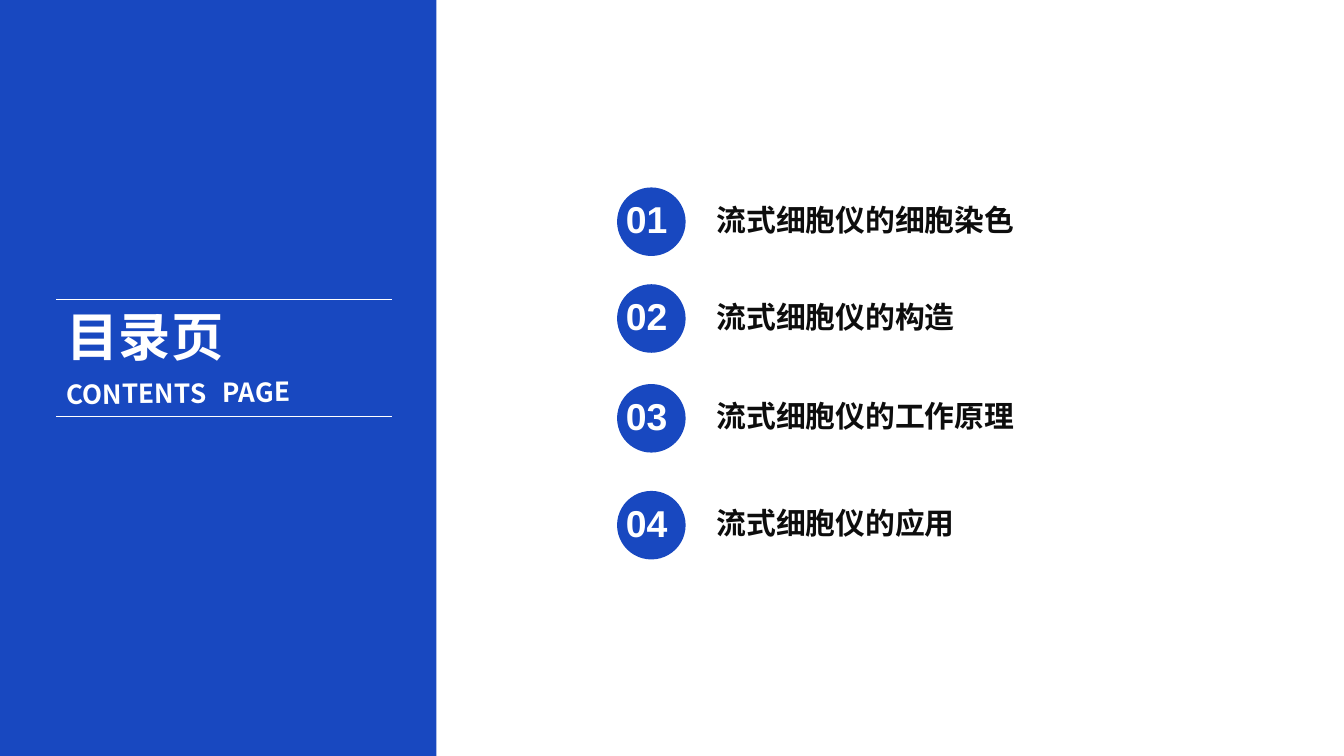
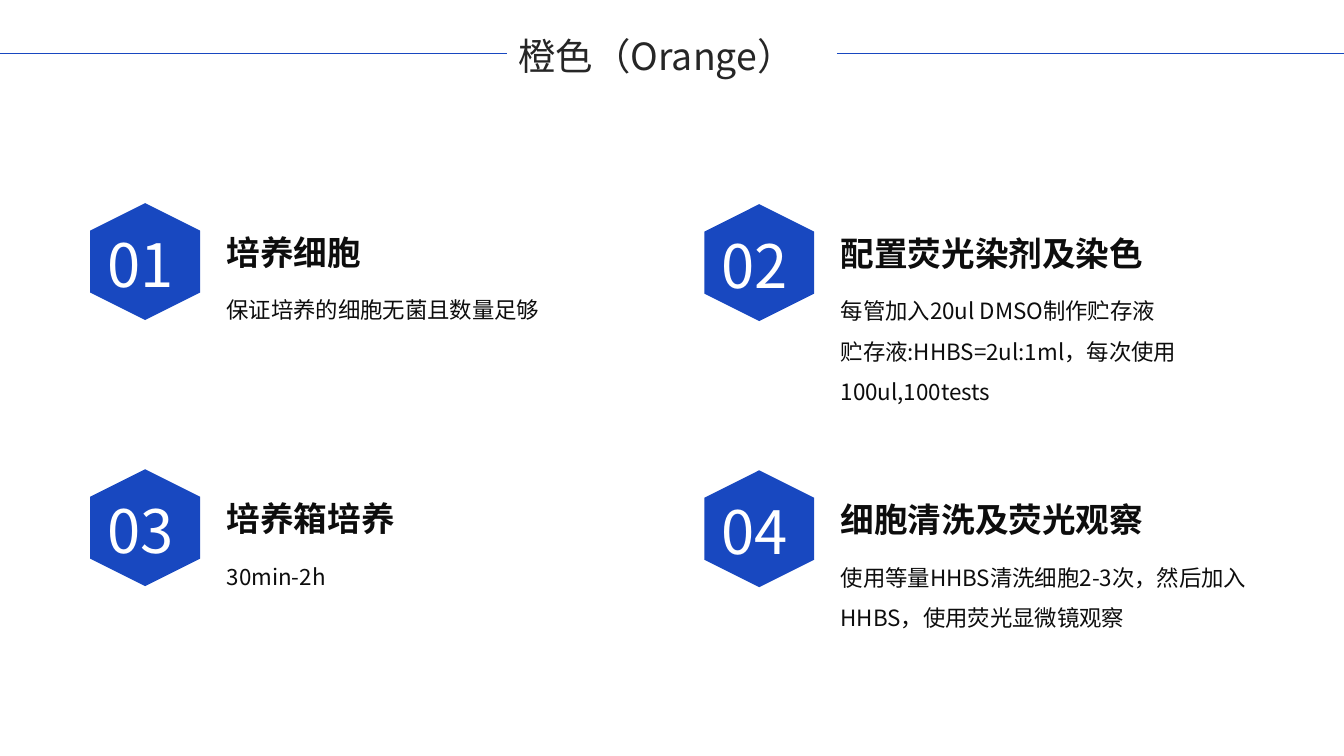
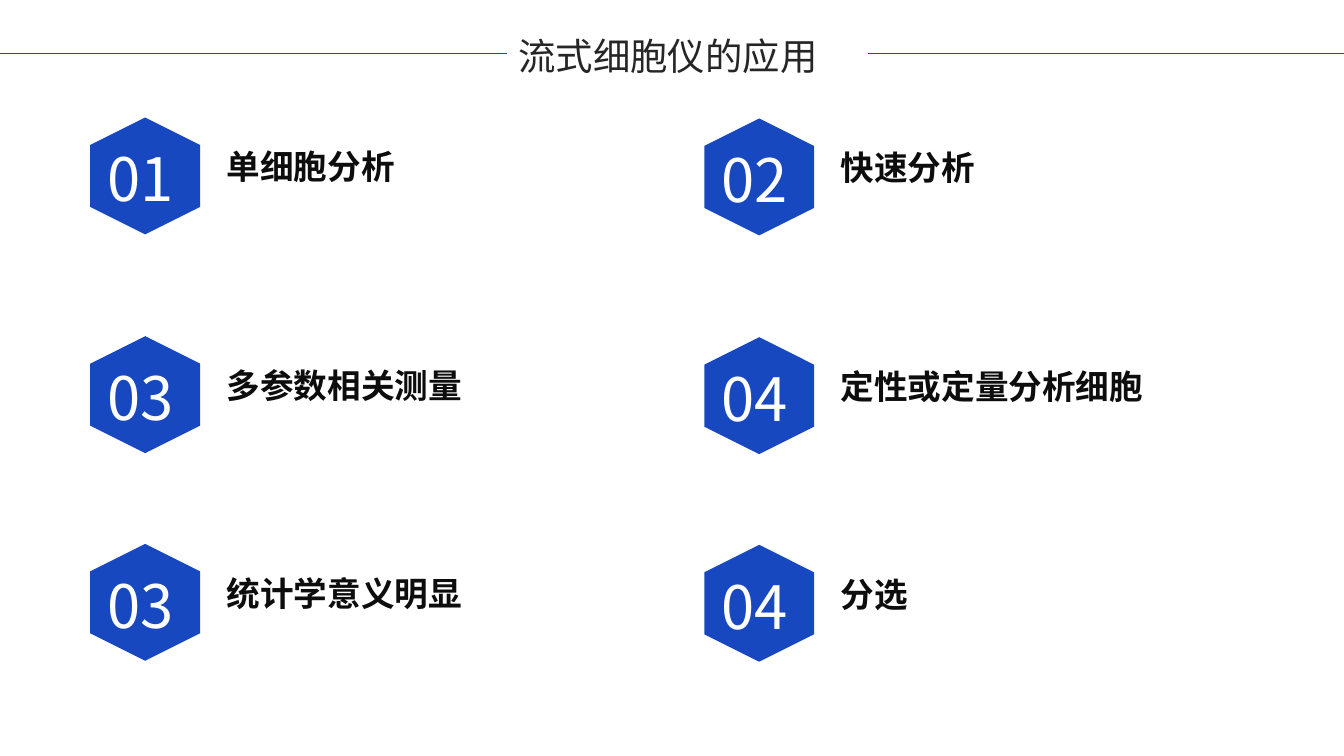
from lxml.etree import SubElement
from pptx import Presentation
from pptx.dml.color import RGBColor
from pptx.enum.shapes import MSO_CONNECTOR, MSO_SHAPE
from pptx.enum.text import MSO_ANCHOR, MSO_AUTO_SIZE, PP_ALIGN
from pptx.oxml.ns import qn
from pptx.util import Inches, Pt

BLUE = RGBColor(0x18, 0x48, 0xC0)
WHITE = RGBColor(0xFF, 0xFF, 0xFF)
INK = RGBColor(0x0D, 0x0D, 0x0D)
TITLE_INK = RGBColor(0x26, 0x26, 0x26)
SANS = "Noto Sans CJK SC"
WIDTH, HEIGHT = 13.33, 7.5
TITLE_ONLY = 5

CONTENTS = [
    (1.86, "01", "流式细胞仪的细胞染色"),
    (2.82, "02", "流式细胞仪的构造"),
    (3.81, "03", "流式细胞仪的工作原理"),
    (4.87, "04", "流式细胞仪的应用"),
]

COLUMN_LEFTS = (0.86, 6.95)
COLUMN_DROP = 0.01
TOPIC_SLIDES = [
    {
        "title": "橙色（Orange）",
        "title_width": 3.03,
        "right_rule": 8.3,
        "row_tops": (2.05, 4.69),
        "items": [
            ("01", "培养细胞", ["保证培养的细胞无菌且数量足够"]),
            ("02", "配置荧光染剂及染色", [
                "每管加入20ul DMSO制作贮存液",
                "贮存液:HHBS=2ul:1ml，每次使用100ul,100tests",
            ]),
            ("03", "培养箱培养", ["30min-2h"]),
            ("04", "细胞清洗及荧光观察", [
                "使用等量HHBS清洗细胞2-3次，然后加入HHBS，使用荧光显微镜观察",
            ]),
        ],
    },
    {
        "title": "流式细胞仪的应用",
        "title_width": 3.19,
        "right_rule": 8.61,
        "row_tops": (1.2, 3.37, 5.43),
        "items": [
            ("01", "单细胞分析", []),
            ("02", "快速分析", []),
            ("03", "多参数相关测量", []),
            ("04", "定性或定量分析细胞", []),
            ("03", "统计学意义明显", []),
            ("04", "分选", []),
        ],
    },
]


def write(shape, lines, size, color, bold=False, font=SANS, wrap=True,
          spacing=None, tab=None):
    frame = shape.text_frame
    frame.text = "\n".join(lines)
    frame.word_wrap = wrap
    frame.auto_size = MSO_AUTO_SIZE.NONE if wrap else MSO_AUTO_SIZE.SHAPE_TO_FIT_TEXT
    frame.vertical_anchor = MSO_ANCHOR.TOP
    for paragraph in frame.paragraphs:
        paragraph.alignment = PP_ALIGN.LEFT
        if spacing:
            paragraph.line_spacing = spacing
        if tab:
            tabs = SubElement(paragraph._p.get_or_add_pPr(), qn("a:tabLst"))
            SubElement(tabs, qn("a:tab"), pos=str(Inches(tab)), algn="l")
        for run in paragraph.runs:
            run.font.size = Pt(size)
            run.font.bold = bold
            run.font.color.rgb = color
            run.font.name = font
            SubElement(run._r.get_or_add_rPr(), qn("a:ea"), typeface=font)


def add_text(slide, left, top, width, height, lines, size, color, **style):
    box = slide.shapes.add_textbox(
        Inches(left), Inches(top), Inches(width), Inches(height))
    write(box, lines, size, color, **style)
    return box


def add_title(slide, left, top, width, height, text, size, color, **style):
    title = slide.shapes.title
    title.left, title.top = Inches(left), Inches(top)
    title.width, title.height = Inches(width), Inches(height)
    write(title, [text], size, color, **style)
    return title


def add_blue_shape(slide, preset, left, top, width, height, rotation=0):
    shape = slide.shapes.add_shape(
        preset, Inches(left), Inches(top), Inches(width), Inches(height))
    shape.shadow.inherit = False
    shape.fill.solid()
    shape.fill.fore_color.rgb = BLUE
    shape.line.fill.background()
    shape.rotation = rotation
    return shape


def add_rule(slide, start, end, top, color):
    rule = slide.shapes.add_connector(
        MSO_CONNECTOR.STRAIGHT, Inches(start), Inches(top), Inches(end), Inches(top))
    rule.line.color.rgb = color
    rule.line.width = Pt(0.5)
    SubElement(rule._element.spPr, qn("a:effectLst"))


def build_contents(presentation):
    slide = presentation.slides.add_slide(presentation.slide_layouts[TITLE_ONLY])
    panel = add_blue_shape(slide, MSO_SHAPE.RECTANGLE, 0, 0, 4.33, HEIGHT)
    title = add_title(slide, 0.56, 2.97, 1.77, 0.73, "目录页", 37.3, WHITE,
                      bold=True, wrap=False)
    title.element.addprevious(panel.element)
    for top in (2.97, 4.13):
        add_rule(slide, 0.56, 3.89, top, WHITE)
    subtitle = add_text(slide, 0.56, 3.62, 3.27, 0.54, ["CONTENTS\tPAGE"],
                        18.7, WHITE, bold=True, tab=1.55)
    subtitle.text_frame.vertical_anchor = MSO_ANCHOR.MIDDLE
    subtitle.rotation = 359.3
    for top, number, topic in CONTENTS:
        add_blue_shape(slide, MSO_SHAPE.OVAL, 6.12, top, 0.68, 0.68)
        add_text(slide, 6.11, top + 0.04, 0.62, 0.55, [number], 26.7, WHITE,
                 bold=True, font="Arial", wrap=False)
        add_text(slide, 7.01, top + 0.09, 5.31, 0.46, [topic], 21.3, INK, bold=True)


def build_topic(presentation, content):
    slide = presentation.slides.add_slide(presentation.slide_layouts[TITLE_ONLY])
    add_title(slide, 5.04, 0.28, content["title_width"], 0.55,
              content["title"], 26.7, TITLE_INK)
    add_rule(slide, 0, 5.03, 0.53, BLUE)
    add_rule(slide, content["right_rule"], WIDTH, 0.53, BLUE)
    for index, (number, heading, body) in enumerate(content["items"]):
        row, column = divmod(index, len(COLUMN_LEFTS))
        left = COLUMN_LEFTS[column]
        top = content["row_tops"][row] + column * COLUMN_DROP
        add_blue_shape(slide, MSO_SHAPE.HEXAGON, left, top, 1.16, 1.09, 270)
        add_text(slide, left + 0.11, top + 0.16, 0.9, 0.82, [number], 42.7, WHITE,
                 wrap=False)
        add_text(slide, left + 1.29, top + 0.2, 3.76, 0.5, [heading], 24, INK,
                 bold=True)
        if body:
            add_text(slide, left + 1.29, top + 0.71, 4.3, 0.06 + 0.4 * len(body),
                     body, 16, INK, spacing=1.5)


def main():
    presentation = Presentation()
    presentation.slide_width = Inches(WIDTH)
    presentation.slide_height = Inches(HEIGHT)
    build_contents(presentation)
    for content in TOPIC_SLIDES:
        build_topic(presentation, content)
    presentation.save("out.pptx")


if __name__ == "__main__":
    main()
